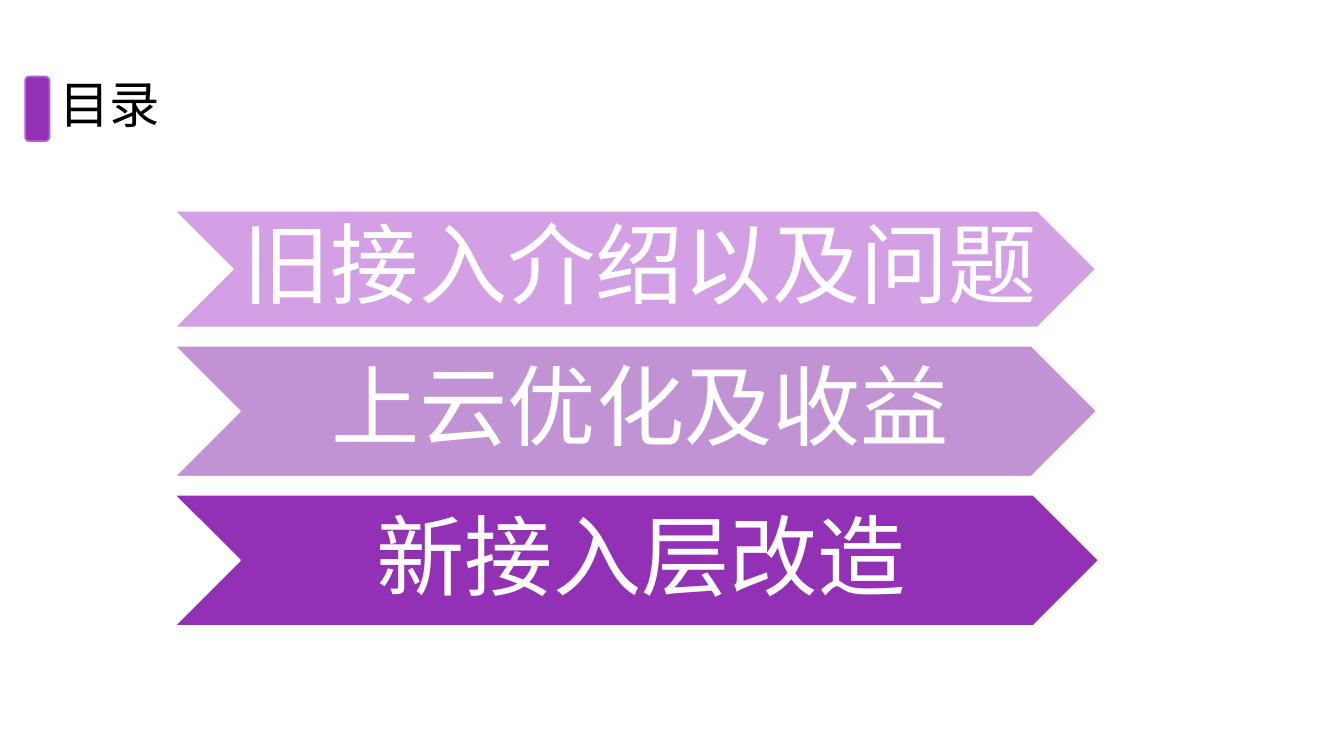
import pptx
import pptx.util
import pptx.dml.color
import pptx.enum.shapes
import pptx.enum.text
import pptx.oxml
import pptx.oxml.ns

Inches = pptx.util.Inches
Pt = pptx.util.Pt
RGBColor = pptx.dml.color.RGBColor
MSO_SHAPE = pptx.enum.shapes.MSO_SHAPE
MSO_ANCHOR = pptx.enum.text.MSO_ANCHOR
PP_ALIGN = pptx.enum.text.PP_ALIGN

PURPLE = RGBColor(0x92, 0x31, 0xB6)
EDGE = RGBColor(0xB5, 0x60, 0xD4)
LILAC = RGBColor(0xD3, 0xA0, 0xE5)
MAUVE = RGBColor(0xC1, 0x93, 0xD5)
WHITE = RGBColor(0xFF, 0xFF, 0xFF)
BLACK = RGBColor(0x00, 0x00, 0x00)
TITLE_FONT = "Noto Sans CJK SC"
BODY_FONT = "TeX Gyre Bonum"
CHAPTERS = [
    ("旧接入介绍以及问题", LILAC, 9.14, 1.16),
    ("上云优化及收益", MAUVE, 9.15, 1.3),
    ("新接入层改造", PURPLE, 9.17, 1.3),
]
CHAPTER_GAP = 0.18


def add_block(slide, kind, left, top, width, height, fill, line):
    """Add a filled and outlined preset shape."""
    sp = slide.shapes.add_shape(kind, Inches(left), Inches(top), Inches(width), Inches(height))
    sp.shadow.inherit = False
    sp.fill.solid()
    sp.fill.fore_color.rgb = fill
    sp.line.color.rgb = line
    sp.line.width = Pt(1.25)


def add_label(slide, text, left, top, width, height, size, font, color):
    """Add a one-line text box and return its text frame."""
    tb = slide.shapes.add_textbox(Inches(left), Inches(top), Inches(width), Inches(height))
    tf = tb.text_frame
    p = tf.paragraphs[0]
    r = p.add_run()
    r.text = text
    r.font.size = Pt(size)
    r.font.color.rgb = color
    r.font.name = font
    ea = pptx.oxml.parse_xml(f'<a:ea {pptx.oxml.ns.nsdecls("a")} typeface="{font}"/>')
    r._r.get_or_add_rPr().append(ea)
    return tf


def add_title(slide, left, top):
    """Place the heading and the marker at its left."""
    add_block(slide, MSO_SHAPE.ROUNDED_RECTANGLE, left, top + 0.08, 0.24, 0.64, PURPLE, EDGE)
    tf = add_label(slide, "目录", left + 0.24, top, 1.21, 0.71, 36, TITLE_FONT, BLACK)
    tf.word_wrap = False


def add_chapters(slide, left, top):
    """Stack the chapter chevrons with equal gaps."""
    for text, fill, width, height in CHAPTERS:
        add_block(slide, MSO_SHAPE.CHEVRON, left, top, width, height, fill, WHITE)
        tf = add_label(slide, text, left + height / 2, top, width - height, height,
                       63, BODY_FONT, WHITE)
        tf.word_wrap = True
        tf.vertical_anchor = MSO_ANCHOR.MIDDLE
        tf.margin_left, tf.margin_right = Inches(0.09), 0
        tf.margin_top = tf.margin_bottom = Inches(0.04)
        p = tf.paragraphs[0]
        p.alignment = PP_ALIGN.CENTER
        p.line_spacing = 0.9
        top += height + CHAPTER_GAP


def main():
    """Build and save the contents slide."""
    prs = pptx.Presentation()
    prs.slide_width, prs.slide_height = Inches(13.33), Inches(7.5)
    slide = prs.slides.add_slide(prs.slide_layouts[6])
    add_title(slide, 0.25, 0.68)
    add_chapters(slide, 1.73, 2.09)
    prs.save("out.pptx")


if __name__ == "__main__":
    main()
